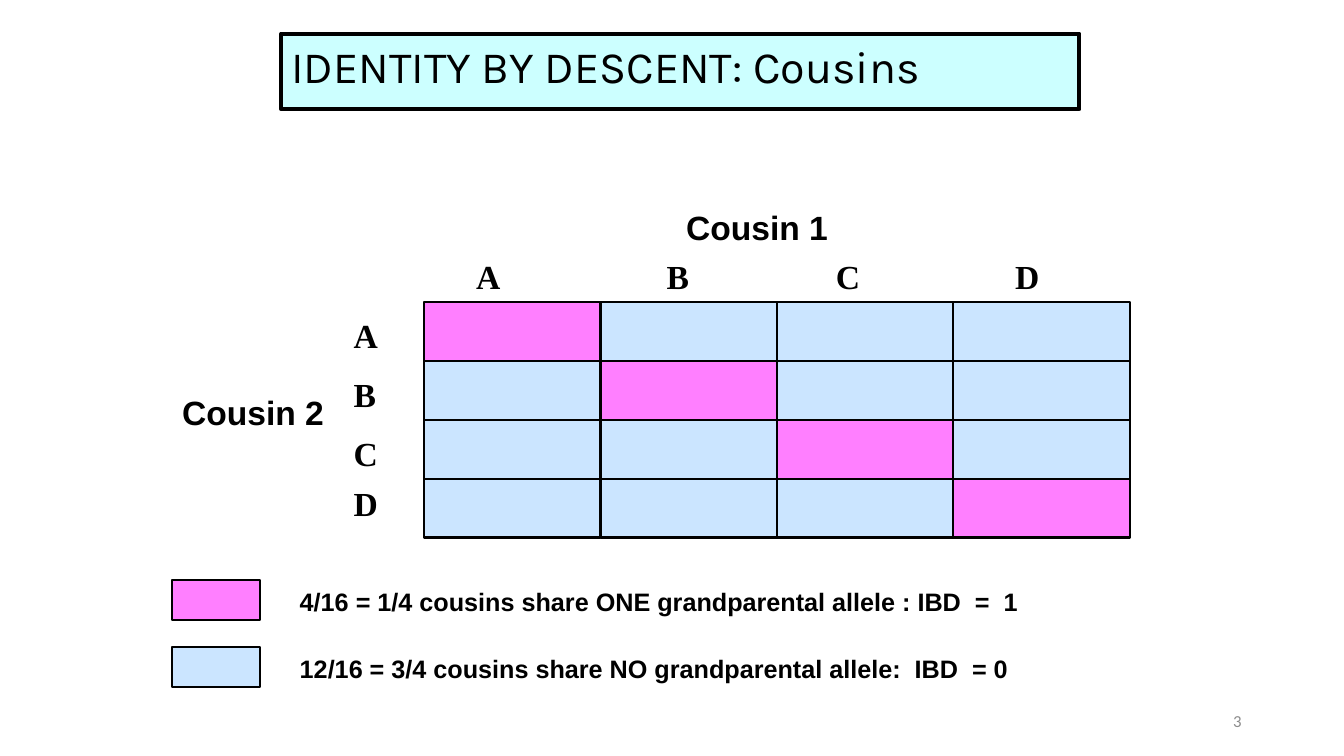
from lxml.etree import SubElement
from pptx import Presentation
from pptx.dml.color import RGBColor
from pptx.enum.shapes import MSO_SHAPE
from pptx.enum.text import MSO_ANCHOR, MSO_AUTO_SIZE, PP_ALIGN
from pptx.oxml.ns import qn
from pptx.util import Pt

COLORS = {
    "shared": "FF00FF",
    "unshared": "99CCFF",
    "title": "CCFFFF",
    "ink": "000000",
    "number": "8C8C8C",
}


class SlideBuilder:
    def __init__(self, slide):
        self.slide = slide

    def color(self, name):
        return RGBColor.from_string(COLORS[name])

    def fill_text(self, shape, text, font, size, bold=False, color="ink", align=PP_ALIGN.LEFT):
        paragraph = shape.text_frame.paragraphs[0]
        paragraph.text = text
        paragraph.alignment = align
        paragraph.font.name = font
        paragraph.font.size = Pt(size)
        paragraph.font.bold = bold
        paragraph.font.color.rgb = self.color(color)
        return paragraph

    def box(self, left, top, width, height, fill, line_width=1.5, opacity=100):
        shape = self.slide.shapes.add_shape(
            MSO_SHAPE.RECTANGLE, Pt(left), Pt(top), Pt(width), Pt(height))
        shape.shadow.inherit = False
        shape.fill.solid()
        shape.fill.fore_color.rgb = self.color(fill)
        shape.line.color.rgb = self.color("ink")
        shape.line.width = Pt(line_width)
        if opacity < 100:
            color = shape.element.spPr.find(qn("a:solidFill"))[0]
            SubElement(color, qn("a:alpha"), val=str(opacity * 1000))
        return shape

    def title(self, text, left, top, width, height):
        shape = self.box(left, top, width, height, "title", line_width=3)
        shape.text_frame.vertical_anchor = MSO_ANCHOR.TOP
        self.fill_text(shape, text, "Karla", 32)

    def text(self, text, left, top, width, height, font="Arial", size=24, bold=True,
             color="ink", align=PP_ALIGN.LEFT, anchor=MSO_ANCHOR.TOP, wrap=True, grow=True):
        shape = self.slide.shapes.add_textbox(Pt(left), Pt(top), Pt(width), Pt(height))
        frame = shape.text_frame
        frame.word_wrap = wrap
        frame.vertical_anchor = anchor
        frame.auto_size = MSO_AUTO_SIZE.SHAPE_TO_FIT_TEXT if grow else MSO_AUTO_SIZE.NONE
        return self.fill_text(shape, text, font, size, bold, color, align)

    def label(self, text, left, top, width, **style):
        paragraph = self.text(text, left, top, width, 36, wrap=False, **style)
        spacing = SubElement(paragraph._p.get_or_add_pPr(), qn("a:spcBef"))
        SubElement(spacing, qn("a:spcPct"), val="50000")


presentation = Presentation()
presentation.slide_width = Pt(960)
presentation.slide_height = Pt(540)
builder = SlideBuilder(presentation.slides.add_slide(presentation.slide_layouts[6]))

builder.title("IDENTITY BY DESCENT: Cousins", 201, 24, 570, 54)

builder.label("Cousin 1", 483, 144, 116)
builder.label("Cousin 2", 123, 276, 116, anchor=MSO_ANCHOR.MIDDLE)

GRID_LEFT, GRID_TOP, CELL_WIDTH, CELL_HEIGHT = 303, 216, 126, 42
ALLELES = "ABCD"
COLUMN_LABEL_LEFTS = (333, 469, 590, 718)
ROW_LABEL_TOPS = (221.5, 263.5, 305.5, 341.5)

for row, allele in enumerate(ALLELES):
    builder.label(allele, COLUMN_LABEL_LEFTS[row], 179.5, 31.5, font="Times New Roman")
    builder.label(allele, 245.5, ROW_LABEL_TOPS[row], 31.5, font="Times New Roman")
    for column in range(len(ALLELES)):
        fill = "shared" if row == column else "unshared"
        builder.box(GRID_LEFT + column * CELL_WIDTH, GRID_TOP + row * CELL_HEIGHT,
                    CELL_WIDTH, CELL_HEIGHT, fill, opacity=50)

LEGEND = (
    ("shared", "4/16 = 1/4 cousins share ONE grandparental allele : IBD  =  1"),
    ("unshared", "12/16 = 3/4 cousins share NO grandparental allele:  IBD  = 0"),
)
for index, (fill, meaning) in enumerate(LEGEND):
    top = 414 + index * 48
    builder.box(123, top, 63, 29, fill, opacity=50)
    builder.text(meaning, 207, top + 1, 655, 29, size=18, anchor=MSO_ANCHOR.MIDDLE)

builder.text("3", 678, 500.5, 216, 29, font="Calibri", size=12, bold=False, color="number",
             align=PP_ALIGN.RIGHT, anchor=MSO_ANCHOR.MIDDLE, grow=False)

presentation.save("out.pptx")
